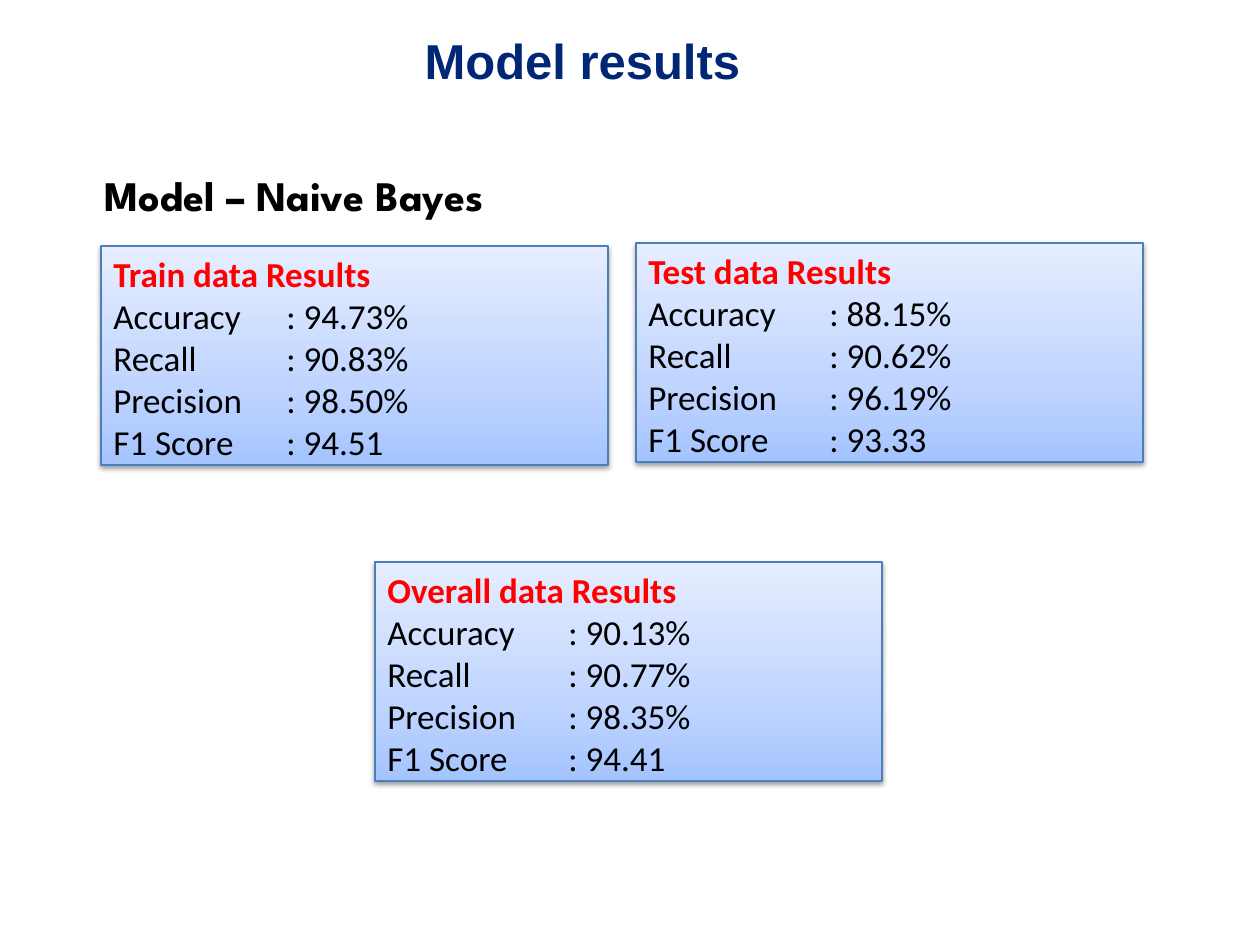
from dataclasses import dataclass

from lxml import etree
from pptx import Presentation
from pptx.dml.color import RGBColor
from pptx.enum.shapes import MSO_SHAPE
from pptx.enum.text import MSO_ANCHOR, PP_ALIGN
from pptx.oxml.ns import qn
from pptx.util import Emu, Pt

EMU_PER_PX = 914400 / 126
RECTANGLE = MSO_SHAPE.RECTANGLE
TOP = MSO_ANCHOR.TOP
LEFT, CENTER = PP_ALIGN.LEFT, PP_ALIGN.CENTER

COLORS = {
    "title": "002776",
    "heading": "FF0000",
    "text": "000000",
    "border": "4B7EBC",
    "shadow": "000000",
}
CARD_GRADIENT = ((0, "A4C4FF"), (35, "BFD4FF"), (100, "E6EEFF"))
CARD_WIDTH, CARD_HEIGHT = 507, 219
MEASURES = ("Accuracy", "Recall", "Precision", "F1 Score")

TITLE = {"name": "Arial", "size": Pt(28), "bold": True}
SUBTITLE = {"name": "League Spartan", "size": Pt(24), "bold": True}
HEADING = {"name": "Calibri", "size": Pt(20), "bold": True}
BODY = {"name": "Calibri", "size": Pt(20), "bold": False}


@dataclass(frozen=True)
class Label:
    text: str
    left: int
    top: int
    width: int
    height: int
    style: dict
    color: str
    align: PP_ALIGN


@dataclass(frozen=True)
class ResultCard:
    heading: str
    left: int
    top: int
    value_tab: int
    values: tuple[str, ...]


LABELS = (
    Label("Model results", 387, 24, 391, 72, TITLE, "title", CENTER),
    Label("Model – Naive Bayes", 92, 163, 736, 63, SUBTITLE, "text", LEFT),
)
CARDS = (
    ResultCard("Train data Results", 101, 246, 173,
               ("94.73%", "90.83%", "98.50%", "94.51")),
    ResultCard("Test data Results", 636, 243, 181,
               ("88.15%", "90.62%", "96.19%", "93.33")),
    ResultCard("Overall data Results", 375, 562, 181,
               ("90.13%", "90.77%", "98.35%", "94.41")),
)


def px(length: int) -> Emu:
    return Emu(round(length * EMU_PER_PX))


def write(para, text: str, style: dict, color: str) -> None:
    span = para.add_run()
    span.text = text
    for name, value in style.items():
        setattr(span.font, name, value)
    span.font.color.rgb = RGBColor.from_string(COLORS[color])


def add_color(parent, color: str):
    return etree.SubElement(parent, qn("a:srgbClr"), val=color)


def fill_gradient(shape) -> None:
    shape.fill.gradient()
    shape.fill.gradient_angle = 90
    stops = shape._element.spPr.find(".//" + qn("a:gsLst"))
    for stop in list(stops):
        stops.remove(stop)
    for percent, color in CARD_GRADIENT:
        stop = etree.SubElement(stops, qn("a:gs"), pos=str(percent * 1000))
        add_color(stop, color)


def add_shadow(shape) -> None:
    """Give the shape a soft shadow that falls straight down."""
    shape.shadow.inherit = False
    effects = shape._element.spPr.find(qn("a:effectLst"))
    shadow = etree.SubElement(
        effects, qn("a:outerShdw"), blurRad=str(Pt(3.1)), dist=str(Pt(1.6)),
        dir=str(90 * 60000), rotWithShape="0")
    color = add_color(shadow, COLORS["shadow"])
    etree.SubElement(color, qn("a:alpha"), val="38000")


def set_tab(para, position: int) -> None:
    tabs = etree.SubElement(para._p.get_or_add_pPr(), qn("a:tabLst"))
    etree.SubElement(tabs, qn("a:tab"), pos=str(px(position)), algn="l")


def add_label(page, label: Label) -> None:
    box = page.shapes.add_textbox(
        px(label.left), px(label.top), px(label.width), px(label.height))
    box.text_frame.word_wrap = True
    para = box.text_frame.paragraphs[0]
    para.alignment = label.align
    write(para, label.text, label.style, label.color)


def add_card(page, card: ResultCard) -> None:
    box = page.shapes.add_shape(
        RECTANGLE, px(card.left), px(card.top),
        px(CARD_WIDTH), px(CARD_HEIGHT))
    fill_gradient(box)
    box.line.color.rgb = RGBColor.from_string(COLORS["border"])
    box.line.width = Pt(0.75)
    add_shadow(box)

    frame = box.text_frame
    frame.word_wrap = True
    frame.vertical_anchor = TOP
    heading = frame.paragraphs[0]
    heading.alignment = LEFT
    write(heading, card.heading, HEADING, "heading")
    for measure, value in zip(MEASURES, card.values):
        para = frame.add_paragraph()
        para.alignment = LEFT
        set_tab(para, card.value_tab)
        write(para, f"{measure}\t: {value}", BODY, "text")


def main() -> None:
    deck = Presentation()
    deck.slide_width, deck.slide_height = px(1260), px(945)
    page = deck.slides.add_slide(deck.slide_layouts[6])
    for label in LABELS:
        add_label(page, label)
    for card in CARDS:
        add_card(page, card)
    deck.save("out.pptx")


if __name__ == "__main__":
    main()
